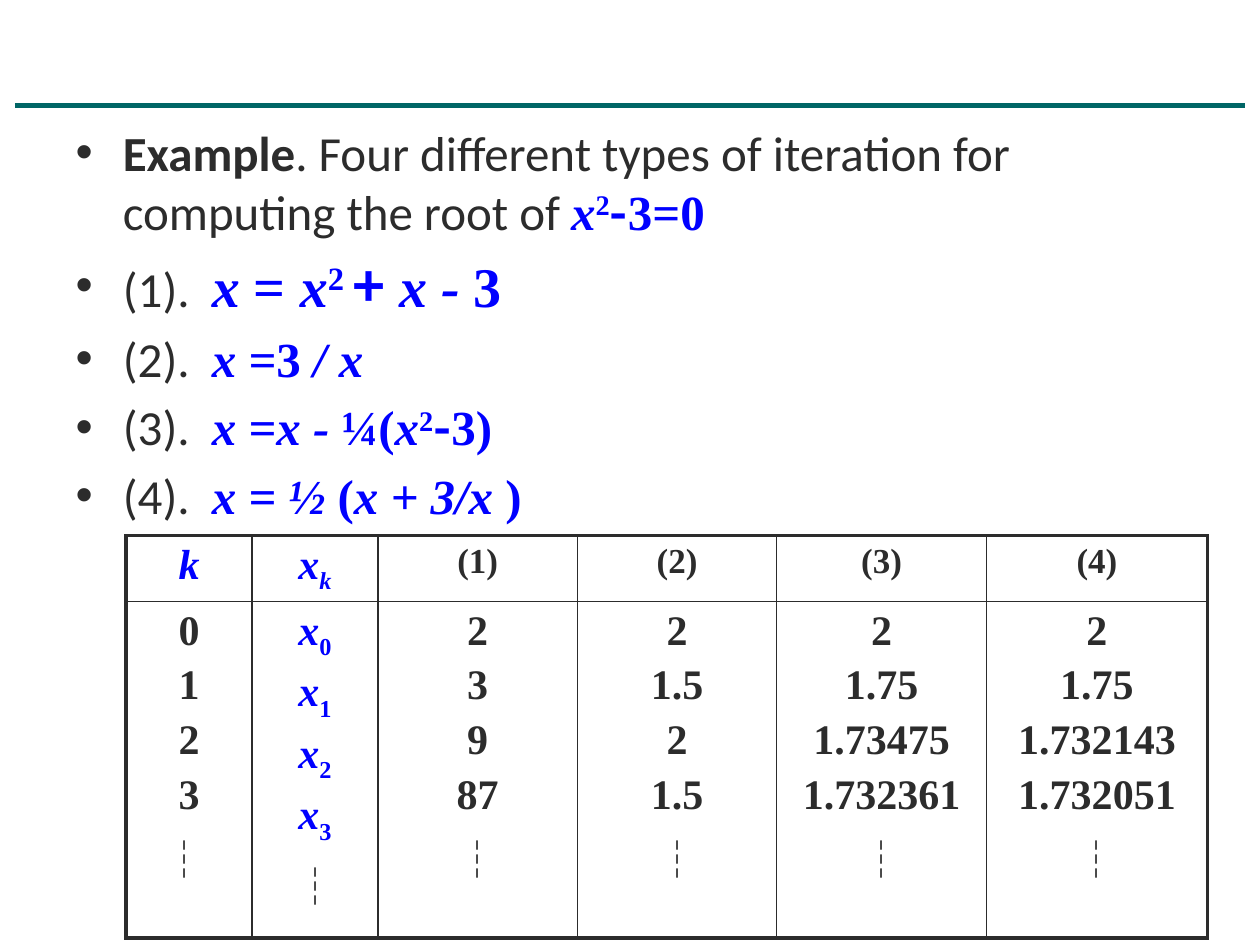
from dataclasses import dataclass

from lxml.etree import SubElement
from pptx import Presentation
from pptx.dml.color import RGBColor
from pptx.enum.shapes import MSO_CONNECTOR
from pptx.enum.text import MSO_AUTO_SIZE, PP_ALIGN
from pptx.oxml.ns import qn
from pptx.util import Cm, Pt

COLORS = {"text": "2C2C2C", "formula": "0000FF", "rule": "006666"}
BODY_FONT, MATH_FONT, SYMBOL_FONT = "Calibri", "Times New Roman", "Noto Sans CJK SC"

# Named run formats
STYLES = {
    "plain": dict(font=BODY_FONT),
    "strong": dict(font=BODY_FONT, bold=True),
    "variable": dict(color="formula", bold=True, italic=True),
    "upright": dict(color="formula", bold=True),
    "power": dict(color="formula", bold=True, baseline=30),
    "index": dict(color="formula", bold=True, baseline=-25),
    "variable index": dict(color="formula", bold=True, italic=True, baseline=-25),
    "operator": dict(color="formula", bold=True, font=SYMBOL_FONT),
    "number": dict(bold=True),
    "dots": dict(bold=True, font=SYMBOL_FONT),
}


@dataclass
class Line:
    """One paragraph: (text, style name) pairs; the label keeps its own size."""
    runs: list
    size: float = 28
    label: str = ""


@dataclass
class Column:
    width: float
    header: Line
    values: list


def add_text(paragraph, text: str, *, size: float, font: str = MATH_FONT, color: str = "text",
             bold: bool = False, italic: bool = False, baseline: int = 0) -> None:
    run = paragraph.add_run()
    run.text = text
    run.font.name = font
    run.font.size = Pt(size)
    run.font.bold, run.font.italic = bold, italic
    run.font.color.rgb = RGBColor.from_string(COLORS[color])
    properties = run.font._element
    SubElement(properties, qn("a:ea")).set("typeface", font)
    if baseline:
        properties.set("baseline", str(baseline * 1000))


def fill_frame(frame, lines: list[Line], centered: bool = False) -> None:
    for number, line in enumerate(lines):
        paragraph = frame.add_paragraph() if number else frame.paragraphs[0]
        if centered:
            paragraph.alignment = PP_ALIGN.CENTER
        spacing = SubElement(paragraph._p.get_or_add_pPr(), qn("a:spcBef"))
        SubElement(spacing, qn("a:spcPct")).set("val", "20000")
        if line.label:
            add_text(paragraph, line.label, size=28, **STYLES["plain"])
        for text, style in line.runs:
            add_text(paragraph, text, size=line.size, **STYLES[style])


def set_borders(cell, widths: dict[str, float]) -> None:
    properties = cell._tc.get_or_add_tcPr()
    for side in "LRTB":
        border = SubElement(properties, qn(f"a:ln{side}"), w=str(Pt(widths[side])))
        fill = SubElement(border, qn("a:solidFill"))
        SubElement(fill, qn("a:srgbClr")).set("val", COLORS["text"])


def add_rule(slide) -> None:
    rule = slide.shapes.add_connector(MSO_CONNECTOR.STRAIGHT, Cm(0.3), Cm(2.13), Cm(25.1), Cm(2.13))
    rule.line.color.rgb = RGBColor.from_string(COLORS["rule"])
    rule.line.width = Pt(3)
    SubElement(rule._element.spPr, qn("a:effectLst"))


def add_iteration_table(slide, columns: list[Column]) -> None:
    row_heights = [1.32, 6.78]
    total_width = sum(column.width for column in columns)
    table = slide.shapes.add_table(len(row_heights), len(columns), Cm(2.54), Cm(10.8),
                                   Cm(total_width), Cm(sum(row_heights))).table
    table.first_row = table.horz_banding = False
    for row, height in zip(table.rows, row_heights):
        row.height = Cm(height)
    last = len(columns) - 1
    for index, column in enumerate(columns):
        table.columns[index].width = Cm(column.width)
        for row, lines in enumerate([[column.header], column.values]):
            cell = table.cell(row, index)
            fill_frame(cell.text_frame, lines, centered=True)
            outer = {"L": index == 0, "R": index == last, "T": row == 0, "B": row == 1}
            set_borders(cell, {side: 2.25 if edge else 1 for side, edge in outer.items()})
            cell.fill.background()


def value_lines(values: list[str], dots: str = "┆") -> list[Line]:
    return [Line([(value, "number")], 24) for value in values] + [Line([(dots, "dots")], 24)]


def method_column(number: int, width: float, values: list[str]) -> Column:
    return Column(width, Line([(f"({number})", "number")], 20), value_lines(values))


BODY = [
    Line([("Example", "strong"),
          (". Four different types of iteration for computing the root of ", "plain"),
          ("x", "variable"), ("2", "power"), ("-", "operator"), ("3=0", "upright")]),
    Line([("x ", "variable"), ("= ", "upright"), ("x", "variable"), ("2 ", "power"),
          ("+", "operator"), (" x - ", "variable"), ("3", "upright")], 32, "(1).  "),
    Line([("x =", "variable"), ("3 ", "upright"), ("/ x", "variable")], label="(2).  "),
    Line([("x =x - ", "variable"), ("¼(", "upright"), ("x", "variable"), ("2", "power"),
          ("-", "operator"), ("3)", "upright")], label="(3).  "),
    Line([("x = ½ ", "variable"), ("(", "upright"), ("x + 3/x ", "variable"),
          (")", "upright")], label="(4).  "),
]

STEPS = ["0", "1", "2", "3"]
COLUMNS = [
    Column(2.54, Line([("k", "variable")], 24), value_lines(STEPS, "┆ ")),
    Column(2.54, Line([("x", "variable"), ("k", "variable index")], 24),
           [Line([("x", "variable"), (step, "index")], 24) for step in STEPS] + value_lines([])),
    method_column(1, 4.02, ["2", "3", "9", "87"]),
    method_column(2, 4.02, ["2", "1.5", "2", "1.5"]),
    method_column(3, 4.23, ["2", "1.75", "1.73475", "1.732361"]),
    method_column(4, 4.45, ["2", "1.75", "1.732143", "1.732051"]),
]


def main() -> None:
    presentation = Presentation()
    presentation.slide_width, presentation.slide_height = Cm(25.4), Cm(19.05)
    slide = presentation.slides.add_slide(presentation.slide_layouts[1])

    # The slide has no title, only a bulleted body
    title = slide.shapes.title._element
    title.getparent().remove(title)
    add_rule(slide)
    body = slide.placeholders[1]
    body.left, body.top, body.width, body.height = Cm(1.27), Cm(2.34), Cm(22.86), Cm(16.31)
    body.text_frame.auto_size = MSO_AUTO_SIZE.NONE
    fill_frame(body.text_frame, BODY)

    # Iteration results
    add_iteration_table(slide, COLUMNS)
    presentation.save("out.pptx")


if __name__ == "__main__":
    main()
